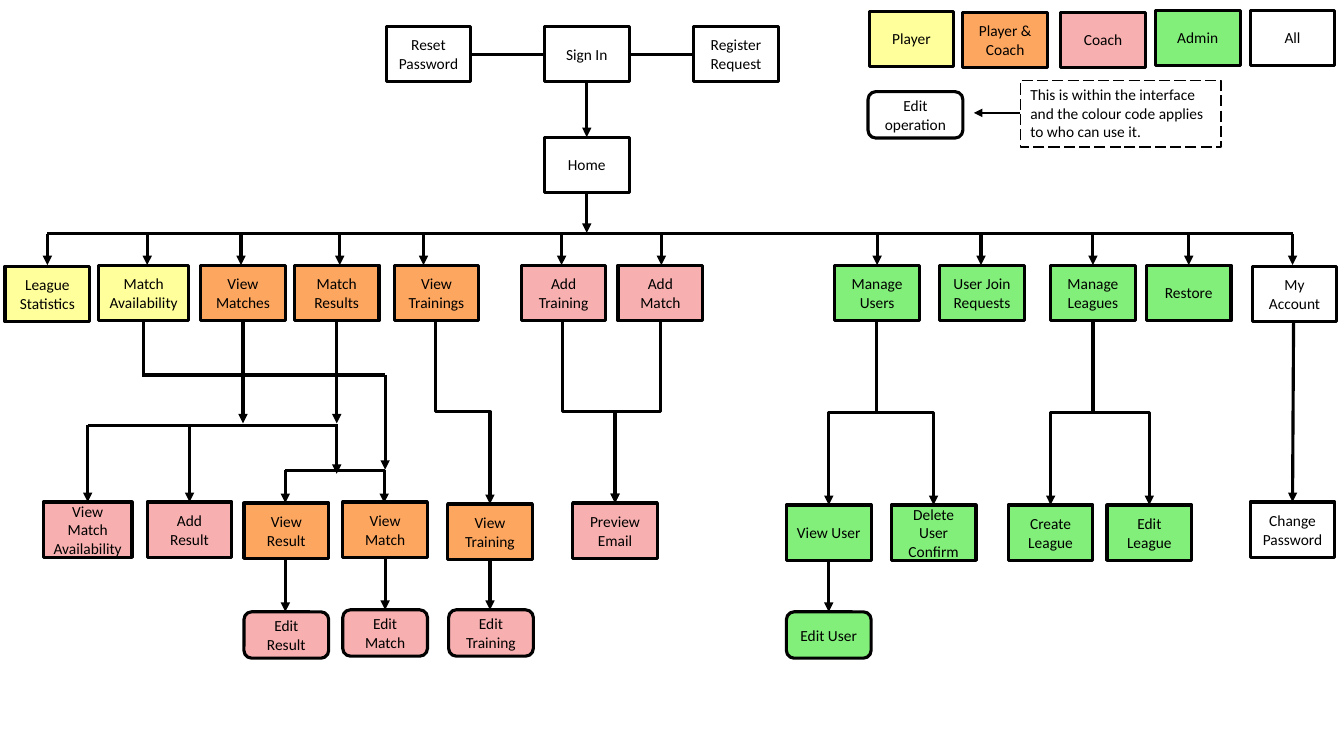
from dataclasses import dataclass

from lxml.etree import SubElement
from pptx import Presentation
from pptx.dml.color import RGBColor
from pptx.enum.dml import MSO_LINE_DASH_STYLE as Dash
from pptx.enum.shapes import MSO_CONNECTOR as Link, MSO_SHAPE as Preset
from pptx.enum.text import MSO_ANCHOR as Anchor, MSO_AUTO_SIZE as AutoSize, PP_ALIGN as Align
from pptx.oxml.ns import qn
from pptx.util import Inches, Pt

COLOURS = {
    "ink": "000000",
    "player": "FFFF9B",
    "both": "FDA65F",
    "coach": "F7AFAF",
    "admin": "81EF79",
}
THICK, THIN = 2.25, 1
BOX_WIDTH, BOX_HEIGHT, EDIT_HEIGHT = 0.84, 0.55, 0.46
BUS_TOP, MENU_TOP = 2.32, 2.63


@dataclass
class Tile:
    text: str
    left: float
    top: float
    audience: str = "all"
    width: float = BOX_WIDTH
    is_edit: bool = False


@dataclass
class Wire:
    x1: float
    y1: float
    x2: float
    y2: float
    arrow: bool = True
    weight: float = THICK


@dataclass
class Elbow:
    x1: float
    x2: float
    bottom: float


LEGEND = [
    Tile("Player", 8.62, 0.11, "player"),
    Tile("Player & Coach", 9.55, 0.12, "both"),
    Tile("Coach", 10.52, 0.12, "coach"),
    Tile("Admin", 11.46, 0.1, "admin"),
    Tile("All", 12.4, 0.1),
    Tile("Edit operation", 8.61, 0.91, width=0.94, is_edit=True),
]
ENTRY = [
    Tile("Reset Password", 3.83, 0.26),
    Tile("Sign In", 5.4, 0.26),
    Tile("Register Request", 6.88, 0.26),
    Tile("Home", 5.4, 1.36),
]
MENU = [
    Tile("League Statistics", 0.05, 2.64, "player"),
    Tile("Match Availability", 0.98, MENU_TOP, "player", 0.89),
    Tile("View\nMatches", 1.99, MENU_TOP, "both"),
    Tile("Match Results", 2.92, MENU_TOP, "both"),
    Tile("View Trainings", 3.91, MENU_TOP, "both"),
    Tile("Add Training", 5.17, MENU_TOP, "coach"),
    Tile("Add Match", 6.13, MENU_TOP, "coach"),
    Tile("Manage Users", 8.28, MENU_TOP, "admin"),
    Tile("User Join Requests", 9.32, MENU_TOP, "admin"),
    Tile("Manage Leagues", 10.42, MENU_TOP, "admin"),
    Tile("Restore", 11.37, MENU_TOP, "admin"),
    Tile("My Account", 12.42, 2.64),
]
PAGES = [
    Tile("View Match Availability", 0.43, 4.98, "coach", 0.88),
    Tile("Add Result", 1.46, 4.98, "coach"),
    Tile("View Result", 2.42, 4.99, "both"),
    Tile("View Match", 3.4, 4.98, "both"),
    Tile("View Training", 4.44, 5, "both"),
    Tile("Preview Email", 5.68, 4.99, "coach"),
    Tile("View User", 7.8, 5.01, "admin"),
    Tile("Delete User Confirm", 8.84, 5.01, "admin"),
    Tile("Create League", 10, 5.01, "admin"),
    Tile("Edit League", 10.98, 5.01, "admin"),
    Tile("Change Password", 12.4, 4.98),
]
EDITS = [
    Tile("Edit Result", 2.42, 6.07, "coach", is_edit=True),
    Tile("Edit Match", 3.4, 6.05, "coach", is_edit=True),
    Tile("Edit Training", 4.45, 6.05, "coach", is_edit=True),
    Tile("Edit User", 7.8, 6.07, "admin", is_edit=True),
]

BUS_DROPS = [0.47, 1.46, 2.39, 3.37, 4.2, 5.57, 6.56, 8.7, 9.73, 10.84, 11.79, 12.82]
BUS_WIRES = [Wire(x, BUS_TOP, x, MENU_TOP) for x in BUS_DROPS]
ENTRY_WIRES = [
    Wire(4.67, 0.54, 5.4, 0.54, arrow=False),
    Wire(6.23, 0.54, 6.88, 0.54, arrow=False),
    Wire(5.82, 0.81, 5.82, 1.36),
    Wire(5.82, 1.91, 5.82, 2.31),
    Wire(BUS_DROPS[0], BUS_TOP, BUS_DROPS[-1], BUS_TOP, arrow=False),
]
MATCH_WIRES = [
    Wire(1.42, 3.17, 1.42, 3.72, arrow=False),
    Wire(1.41, 3.72, 3.82, 3.72, arrow=False),
    Wire(3.82, 3.72, 3.82, 4.66),
    Wire(2.41, 3.17, 2.41, 4.2),
    Wire(3.34, 3.17, 3.34, 4.2),
    Wire(0.87, 4.22, 3.33, 4.22, arrow=False),
    Wire(0.87, 4.22, 0.87, 4.98),
    Wire(1.88, 4.21, 1.88, 4.98),
    Wire(3.34, 4.21, 3.34, 4.7),
    Wire(2.83, 4.67, 3.82, 4.67, arrow=False),
    Wire(2.83, 4.66, 2.83, 4.99),
    Wire(3.81, 4.66, 3.81, 4.99),
]
EDIT_WIRES = [
    Wire(2.83, 5.53, 2.83, 6.07),
    Wire(3.82, 5.53, 3.82, 6.05),
    Wire(4.86, 5.54, 4.86, 6.05),
    Wire(8.22, 5.55, 8.22, 6.07),
]
OTHER_WIRES = [
    Wire(12.83, 3.18, 12.82, 4.98),
    Wire(10.12, 1.12, 9.66, 1.12, weight=THIN),
]
ELBOWS = [
    Elbow(4.32, 4.86, 5),
    Elbow(5.58, 6.1, 4.99),
    Elbow(6.55, 6.1, 4.99),
    Elbow(8.69, 8.22, 5.01),
    Elbow(8.69, 9.26, 5.01),
    Elbow(10.84, 10.42, 5.01),
    Elbow(10.84, 11.4, 5.01),
]


def colour(name: str) -> RGBColor:
    return RGBColor.from_string(COLOURS[name])


def write(shape, text: str, *, align=Align.CENTER, anchor=Anchor.MIDDLE) -> None:
    frame = shape.text_frame
    frame.word_wrap = True
    frame.vertical_anchor = anchor
    for index, words in enumerate(text.split("\n")):
        para = frame.add_paragraph() if index else frame.paragraphs[0]
        para.alignment = align
        span = para.add_run()
        span.text = words
        span.font.name = "Calibri"
        span.font.size = Pt(11)
        span.font.color.rgb = colour("ink")


def add_box(page, preset, left: float, top: float, width: float, height: float, weight: float):
    box = page.shapes.add_shape(preset, Inches(left), Inches(top), Inches(width), Inches(height))
    box.shadow.inherit = False
    box.fill.background()
    box.line.color.rgb = colour("ink")
    box.line.width = Pt(weight)
    return box


def draw_tile(page, tile: Tile) -> None:
    preset = Preset.ROUNDED_RECTANGLE if tile.is_edit else Preset.RECTANGLE
    height = EDIT_HEIGHT if tile.is_edit else BOX_HEIGHT
    box = add_box(page, preset, tile.left, tile.top, tile.width, height, THICK)
    if tile.audience in COLOURS:
        box.fill.solid()
        box.fill.fore_color.rgb = colour(tile.audience)
    write(box, tile.text)


def draw_wire(page, wire: Wire, kind=Link.STRAIGHT):
    ends = [Inches(value) for value in (wire.x1, wire.y1, wire.x2, wire.y2)]
    connector = page.shapes.add_connector(kind, *ends)
    connector.line.color.rgb = colour("ink")
    connector.line.width = Pt(wire.weight)
    if wire.arrow:
        SubElement(connector.line._get_or_add_ln(), qn("a:tailEnd"), type="triangle")
    SubElement(connector._element.spPr, qn("a:effectLst"))
    return connector


def draw_elbow(page, elbow: Elbow, top: float = 3.17) -> None:
    middle_x, middle_y = (elbow.x1 + elbow.x2) / 2, (top + elbow.bottom) / 2
    half_drop, half_shift = (elbow.bottom - top) / 2, abs(elbow.x2 - elbow.x1) / 2
    side = 1 if elbow.x2 < elbow.x1 else -1
    wire = Wire(middle_x - side * half_drop, middle_y - half_shift,
                middle_x + side * half_drop, middle_y + half_shift)
    connector = draw_wire(page, wire, Link.ELBOW)
    turn = 90 if side == 1 else 270
    connector._element.spPr.find(qn("a:xfrm")).set("rot", str(turn * 60000))


deck = Presentation()
deck.slide_width, deck.slide_height = Inches(13.33), Inches(7.5)
page = deck.slides.add_slide(deck.slide_layouts[6])

for tile in LEGEND + ENTRY + MENU + PAGES + EDITS:
    draw_tile(page, tile)
for wire in ENTRY_WIRES + BUS_WIRES + MATCH_WIRES + EDIT_WIRES + OTHER_WIRES:
    draw_wire(page, wire)
for elbow in ELBOWS:
    draw_elbow(page, elbow)

callout = add_box(page, Preset.RECTANGLE, 10.12, 0.8, 1.99, 0.66, THIN)
callout.line.dash_style = Dash.LONG_DASH
write(callout, "This is within the interface and the colour code applies to who can use it.",
      align=Align.LEFT, anchor=Anchor.TOP)
callout.text_frame.auto_size = AutoSize.SHAPE_TO_FIT_TEXT

deck.save("out.pptx")
